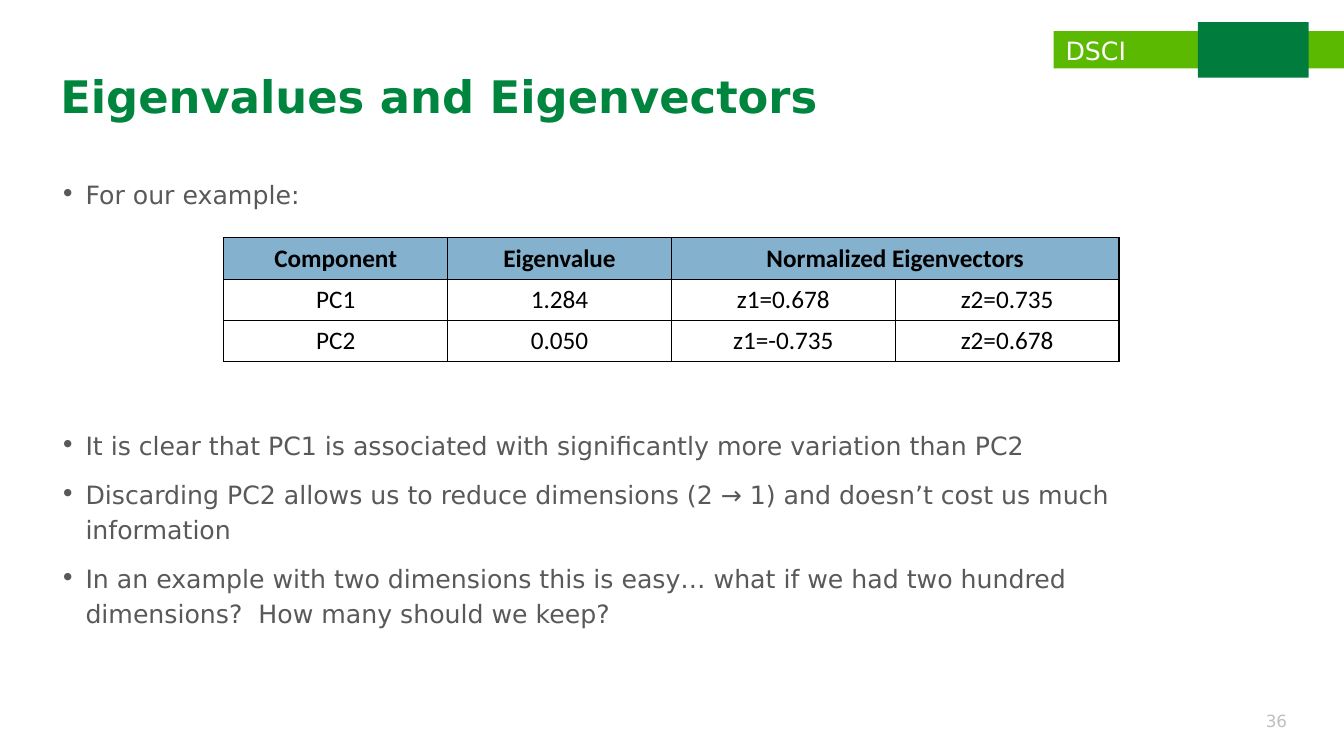
"""Build the slide on eigenvalues and eigenvectors."""
from dataclasses import dataclass

from lxml.etree import SubElement as Sub
from pptx import Presentation
from pptx.dml.color import RGBColor as RGB
from pptx.enum.shapes import MSO_SHAPE as Shape
from pptx.enum.text import MSO_ANCHOR as Anchor, PP_ALIGN as Align
from pptx.oxml.ns import qn
from pptx.util import Inches, Pt

TITLE = "Eigenvalues and Eigenvectors"
COURSE = "DSCI"
PAGE = "36"
INTRO = ["For our example:"]
POINTS = [
    "It is clear that PC1 is associated with significantly more variation than PC2",
    "Discarding PC2 allows us to reduce dimensions (2 → 1) and doesn’t cost us much information",
    "In an example with two dimensions this is easy… what if we had two hundred dimensions?  How many should we keep?",
]
ROWS = [
    ("Component", "Eigenvalue", "Normalized Eigenvectors", ""),
    ("PC1", "1.284", "z1=0.678", "z2=0.735"),
    ("PC2", "0.050", "z1=-0.735", "z2=0.678"),
]
LEFT, WIDE = 0.5, 11.4
GRID = (2.22, 2.36)
COL, ROW = 2.22, 0.41


@dataclass(frozen=True)
class Theme:
    """Fonts, type sizes and colours."""
    sans: str = "DejaVu Sans"
    grid: str = "Calibri"
    head: int = 32
    body: int = 18
    small: int = 12
    lime: str = "5AB900"
    deep: str = "007D3C"
    green: str = "00853E"
    gray: str = "595959"
    pale: str = "BFBFBF"
    blue: str = "84B1CD"
    white: str = "FFFFFF"
    black: str = "000000"


T = Theme()


def style(para, size, color, name=T.sans, bold=False):
    """Set the font of a paragraph."""
    font = para.font
    font.name, font.size, font.bold = name, Pt(size), bold
    font.color.rgb = RGB.from_string(color)


def add_bar(slide, box, color):
    """Draw a plain filled bar."""
    bar = slide.shapes.add_shape(Shape.RECTANGLE, *map(Inches, box))
    bar.shadow.inherit = False
    bar.fill.solid()
    bar.fill.fore_color.rgb = RGB.from_string(color)
    bar.line.fill.background()


def add_text(slide, box, lines, size, color, bold=False, anchor=Anchor.TOP):
    """Add a text box and return its paragraphs."""
    frame = slide.shapes.add_textbox(*map(Inches, box)).text_frame
    frame.word_wrap = True
    frame.vertical_anchor = anchor
    frame.text = "\n".join(lines)
    for para in frame.paragraphs:
        style(para, size, color, bold=bold)
    return frame.paragraphs


def add_list(slide, top, tall, lines):
    """Add a bulleted list."""
    for para in add_text(slide, (LEFT, top, WIDE, tall), lines, T.body, T.gray):
        para.line_spacing, para.space_before = Pt(25), Pt(10)
        props = para._p.get_or_add_pPr()
        props.set("marL", str(Inches(0.25)))
        props.set("indent", str(-Inches(0.25)))
        Sub(props, qn("a:buFont"), typeface=T.sans)
        Sub(props, qn("a:buChar"), char="•")


def set_cell(cell, text, head):
    """Fill, border and label one cell."""
    props = cell._tc.get_or_add_tcPr()
    for side in ("lnL", "lnR", "lnT", "lnB"):
        line = Sub(props, qn(f"a:{side}"), w=str(Pt(1)))
        Sub(Sub(line, qn("a:solidFill")), qn("a:srgbClr"), val=T.black)
    if head:
        cell.fill.solid()
        cell.fill.fore_color.rgb = RGB.from_string(T.blue)
    else:
        cell.fill.background()
    cell.vertical_anchor = Anchor.MIDDLE
    cell.text = text
    para = cell.text_frame.paragraphs[0]
    para.alignment = Align.CENTER
    style(para, T.body, T.black, T.grid, head)


def add_grid(slide):
    """Add the table of components."""
    rows, cols = len(ROWS), len(ROWS[0])
    box = (*GRID, COL * cols, ROW * rows)
    table = slide.shapes.add_table(rows, cols, *map(Inches, box)).table
    table.first_row = table.horz_banding = False
    for col in table.columns:
        col.width = Inches(COL)
    for r, row in enumerate(ROWS):
        table.rows[r].height = Inches(ROW)
        for c, text in enumerate(row):
            set_cell(table.cell(r, c), text, r == 0)
    table.cell(0, 2).merge(table.cell(0, 3))


def main():
    """Lay out the slide and save it."""
    deck = Presentation()
    deck.slide_width, deck.slide_height = Inches(13.33), Inches(7.5)
    slide = deck.slides.add_slide(deck.slide_layouts[6])
    add_bar(slide, (10.45, 0.31, 2.88, 0.37), T.lime)
    add_text(slide, (10.47, 0.3, 1.37, 0.4), [COURSE], T.body, T.white)
    add_bar(slide, (11.88, 0.22, 1.1, 0.55), T.deep)
    title = add_text(slide, (LEFT, 0.4, WIDE, 1.16), [TITLE], T.head, T.green, True, Anchor.MIDDLE)
    title[0].line_spacing = 0.9
    add_list(slide, 1.68, 0.57, INTRO)
    add_grid(slide)
    add_list(slide, 4.17, 2.17, POINTS)
    page = add_text(slide, (12.4, 6.95, 0.52, 0.4), [PAGE], T.small, T.pale, anchor=Anchor.MIDDLE)
    page[0].alignment = Align.CENTER
    deck.save("out.pptx")


if __name__ == "__main__":
    main()
